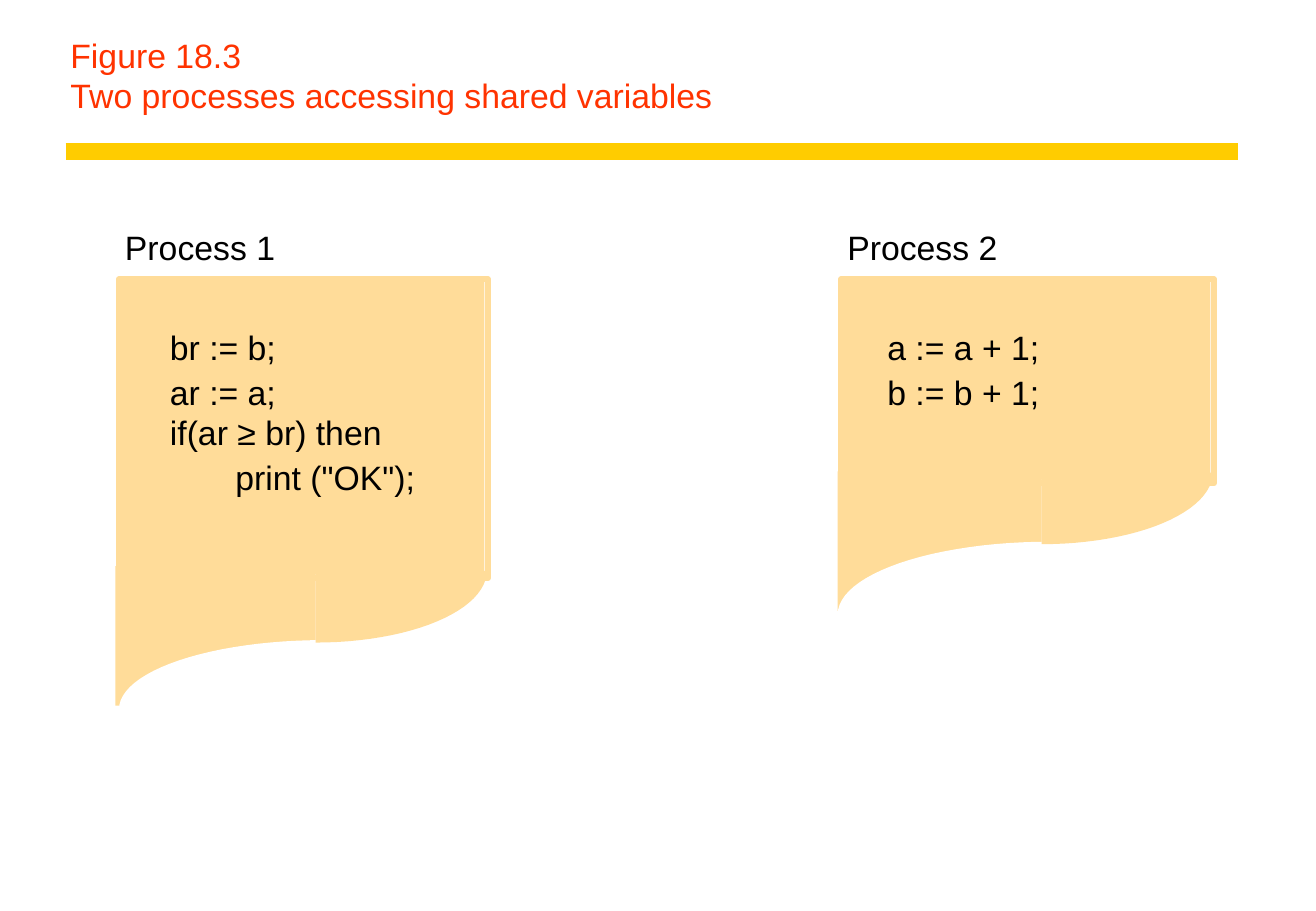
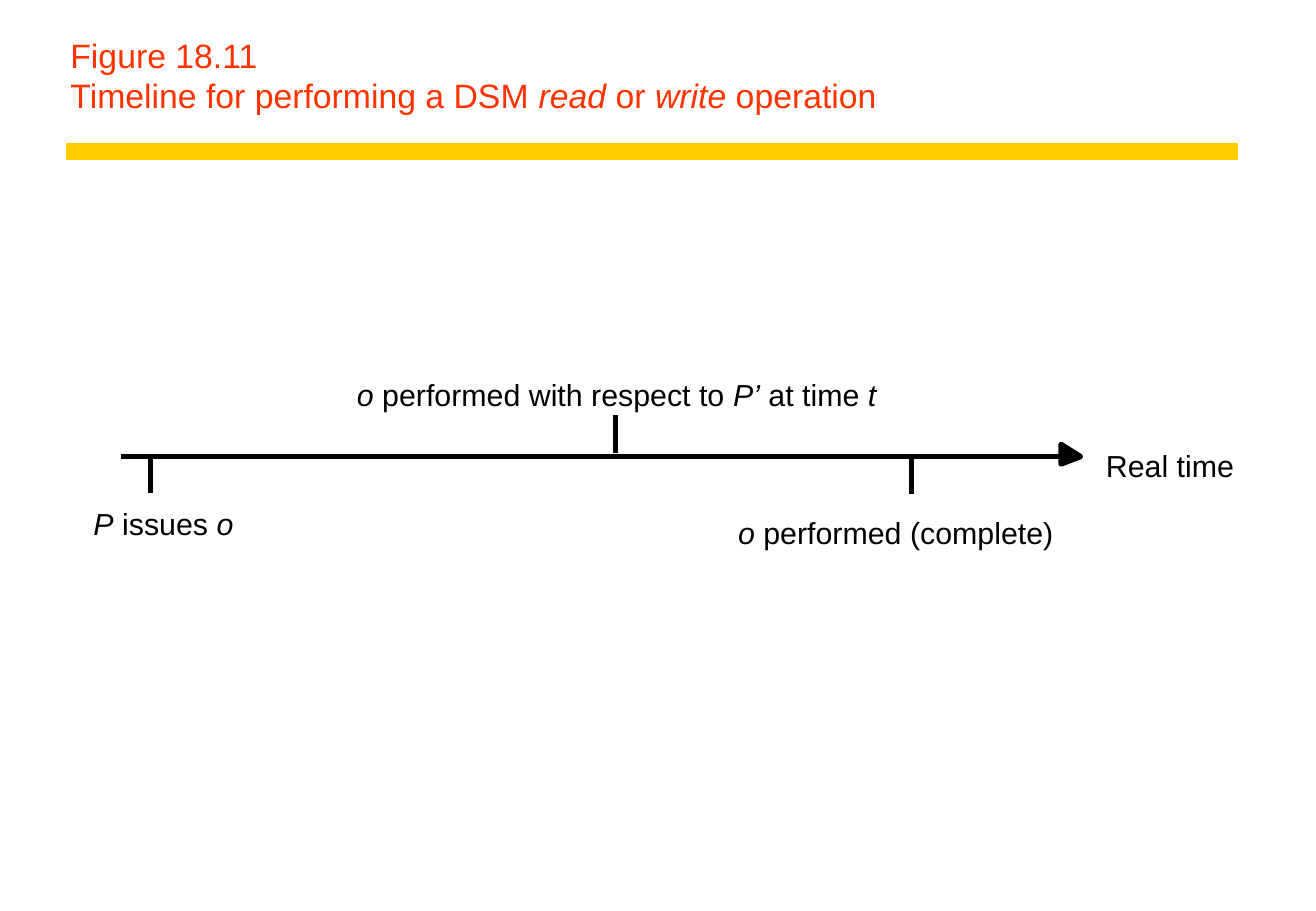
from dataclasses import dataclass
from math import cos, pi, sin

from lxml import etree
from pptx import Presentation
from pptx.dml.color import RGBColor
from pptx.enum.shapes import MSO_CONNECTOR, MSO_SHAPE
from pptx.enum.text import MSO_ANCHOR
from pptx.oxml.ns import qn
from pptx.presentation import Presentation as Deck
from pptx.shapes.autoshape import Shape
from pptx.slide import Slide
from pptx.util import Inches, Pt

STRAIGHT = MSO_CONNECTOR.STRAIGHT
RECTANGLE = MSO_SHAPE.RECTANGLE
TOP, BOTTOM = MSO_ANCHOR.TOP, MSO_ANCHOR.BOTTOM

COLORS = {"title": "FF3300", "band": "FFCC00", "sheet": "FFDC99",
          "ink": "000000", "paper": "FFFFFF"}
FONT = "Arial"
BODY_SIZE, LABEL_SIZE = 20, 18
AXIS_Y, AXIS_WIDTH = 3.76, 3.25
SHEET_TOP, FRAME_WIDTH = 2.3, 3.63
CURVE_STEPS = 24

Point = tuple[float, float]


@dataclass(frozen=True)
class Line:
    text: str
    space_before: float = 0


@dataclass(frozen=True)
class Process:
    name: str
    left: float
    width: float
    height: float
    middle: float  # where the two bottom curves meet
    lobe_top: float
    hollow_edge: float  # extra radius of the hollow at the lower left
    code_left: float
    code: tuple[Line, ...]


@dataclass(frozen=True)
class Label:
    text: str
    left: float
    top: float
    width: float


PROCESSES = (
    Process("Process 1", 0.98, 3.01, 2.43, 2.6, 4.7, 0, 1.4, (
        Line("br := b;"),
        Line("ar := a;", 2.4),
        Line("if(ar ≥ br) then"),
        Line('       print ("OK");', 2.4),
    )),
    Process("Process 2", 6.93, 3.04, 1.65, 8.58, 3.89, 0.03, 7.31, (
        Line("a := a + 1;"),
        Line("b := b + 1;", 2.4),
    )),
)

LABELS = (
    Label("*P* issues *o*", 0.77, 4.16, 1.4),
    Label("*o* performed with respect to *P’* at time *t*", 2.94, 3.1, 4.6),
    Label("*o* performed (complete)", 6.08, 4.23, 2.9),
    Label("Real time", 9.11, 3.68, 1.3),
)

TICKS = ((1.24, AXIS_Y, 4.06), (7.51, AXIS_Y, 4.07), (5.07, 3.42, 3.73))
ARROWHEAD = [(8.74, 3.66), (8.9, AXIS_Y), (8.74, 3.82)]


def color(name: str) -> RGBColor:
    return RGBColor.from_string(COLORS[name])


def add_text(slide: Slide, left: float, top: float, width: float, height: float,
             lines: tuple[Line, ...], size: float, color_name: str = "ink",
             anchor: MSO_ANCHOR = TOP) -> None:
    """Add one paragraph per line; words between asterisks are italic."""
    box = slide.shapes.add_textbox(Inches(left), Inches(top), Inches(width), Inches(height))
    frame = box.text_frame
    frame.word_wrap = True
    frame.vertical_anchor = anchor
    frame.margin_left = frame.margin_right = frame.margin_top = frame.margin_bottom = 0
    for index, line in enumerate(lines):
        paragraph = frame.add_paragraph() if index else frame.paragraphs[0]
        if line.space_before:
            paragraph.space_before = Pt(line.space_before)
        paragraph.font.name = FONT
        paragraph.font.size = Pt(size)
        paragraph.font.color.rgb = color(color_name)
        for part, text in enumerate(line.text.split("*")):
            if text:
                run = paragraph.add_run()
                run.text = text
                if part % 2:
                    run.font.italic = True


def add_line(slide: Slide, start: Point, end: Point, color_name: str, width: float) -> None:
    connector = slide.shapes.add_connector(
        STRAIGHT, Inches(start[0]), Inches(start[1]), Inches(end[0]), Inches(end[1]))
    connector.line.color.rgb = color(color_name)
    connector.line.width = Pt(width)
    etree.SubElement(connector._element.spPr, qn("a:effectLst"))


def paint(shape: Shape, color_name: str, line_width: float = 0, filled: bool = True) -> None:
    shape.shadow.inherit = False
    if filled:
        shape.fill.solid()
        shape.fill.fore_color.rgb = color(color_name)
    else:
        shape.fill.background()
    if line_width:
        shape.line.color.rgb = color(color_name)
        shape.line.width = Pt(line_width)
    else:
        shape.line.fill.background()


def add_rectangle(slide: Slide, left: float, top: float, width: float, height: float) -> Shape:
    return slide.shapes.add_shape(
        RECTANGLE, Inches(left), Inches(top), Inches(width), Inches(height))


def add_polygon(slide: Slide, points: list[Point]) -> Shape:
    corners = [(Inches(x), Inches(y)) for x, y in points]
    builder = slide.shapes.build_freeform(*corners[0])
    builder.add_line_segments(corners[1:], close=True)
    return builder.convert_to_shape()


def quarter(center: Point, radius_x: float, radius_y: float, start: float) -> list[Point]:
    """Outline a quarter of an ellipse, clockwise from the start angle."""
    angles = [start + pi / 2 * step / CURVE_STEPS for step in range(CURVE_STEPS + 1)]
    return [center] + [(center[0] + radius_x * cos(angle), center[1] + radius_y * sin(angle))
                       for angle in angles]


def add_process(slide: Slide, process: Process) -> None:
    """Draw a torn sheet with its heading and code."""
    left, middle, edge = process.left, process.middle, process.hollow_edge
    foot_left, foot_top = left - 0.03, SHEET_TOP + process.height - 0.07
    paint(add_rectangle(slide, foot_left, foot_top, middle - foot_left, 1.15), "sheet")

    hollow_right = middle + 0.07
    hollow = quarter((hollow_right, foot_top + 1.18),
                     hollow_right - left + edge, 0.57 + edge, pi)
    paint(add_polygon(slide, hollow), "paper")

    lobe = quarter((middle, process.lobe_top), left + process.width - middle + 0.02, 0.59, 0)
    paint(add_polygon(slide, lobe), "sheet")

    paint(add_rectangle(slide, left, SHEET_TOP, process.width, process.height), "sheet")
    paint(add_rectangle(slide, left, SHEET_TOP, process.width + 0.03, process.height + 0.03),
          "sheet", FRAME_WIDTH, filled=False)

    add_text(slide, left + 0.05, 1.87, 1.6, 0.33, (Line(process.name),), BODY_SIZE)
    add_text(slide, process.code_left, 2.69, 2.4, 1.41, process.code, BODY_SIZE)


def add_figure_slide(presentation: Deck, number: str, caption: str) -> Slide:
    slide = presentation.slides.add_slide(presentation.slide_layouts[6])
    add_line(slide, (0.54, 1.25), (10.2, 1.25), "band", 10)
    add_text(slide, 0.58, 0.3, 9.52, 0.65, (Line(f"Figure {number}"), Line(caption)),
             BODY_SIZE, "title", BOTTOM)
    return slide


def add_timeline(slide: Slide) -> None:
    paint(add_polygon(slide, ARROWHEAD), "ink", AXIS_WIDTH)
    add_line(slide, (1, AXIS_Y), (8.72, AXIS_Y), "ink", AXIS_WIDTH)
    for x, top, bottom in TICKS:
        add_line(slide, (x, top), (x, bottom), "ink", AXIS_WIDTH)
    for label in LABELS:
        add_text(slide, label.left, label.top, label.width, 0.3,
                 (Line(label.text),), LABEL_SIZE)


def main() -> None:
    presentation = Presentation()
    presentation.slide_width = Inches(10.84)
    presentation.slide_height = Inches(7.5)

    processes_slide = add_figure_slide(
        presentation, "18.3", "Two processes accessing shared variables")
    for process in PROCESSES:
        add_process(processes_slide, process)

    timeline_slide = add_figure_slide(
        presentation, "18.11", "Timeline for performing a DSM *read* or *write* operation")
    add_timeline(timeline_slide)

    presentation.save("out.pptx")


if __name__ == "__main__":
    main()
